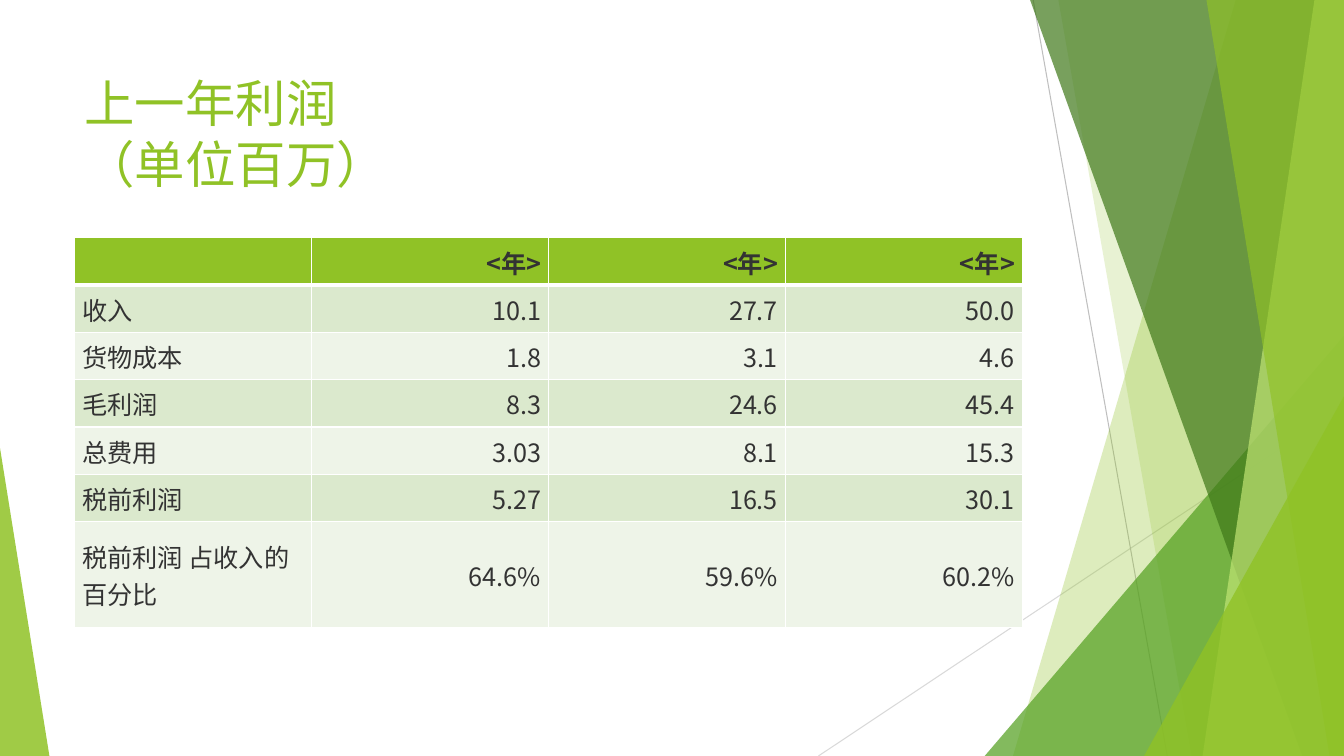
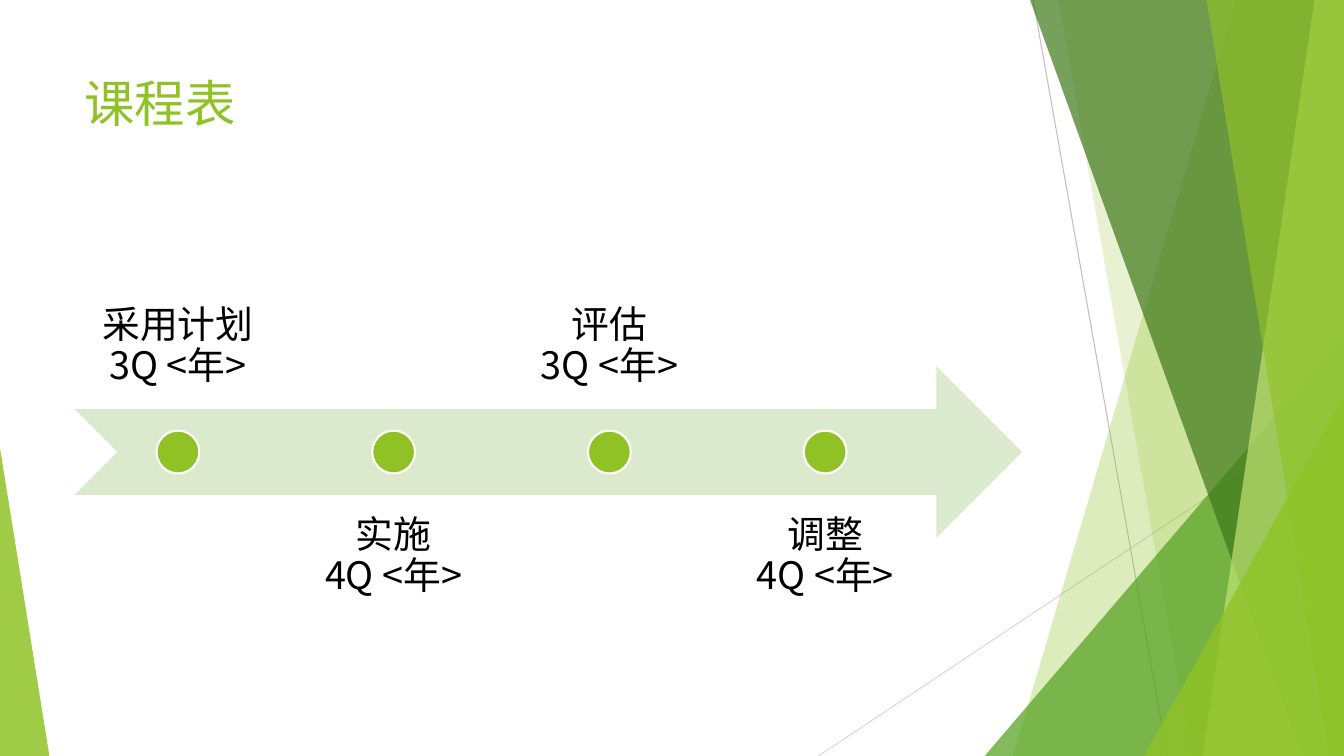
from lxml import etree
from pptx import Presentation
from pptx.dml.color import RGBColor
from pptx.enum.shapes import MSO_CONNECTOR, MSO_SHAPE as SHAPE
from pptx.enum.text import MSO_ANCHOR as ANCHOR, PP_ALIGN as ALIGN
from pptx.oxml.ns import qn
from pptx.util import Pt

WIDTH, HEIGHT = 960, 540
FONT = "Noto Sans CJK SC"

LIME = RGBColor(0x90, 0xC2, 0x26)
GREEN = RGBColor(0x54, 0xA0, 0x21)
FOREST = RGBColor(0x3F, 0x78, 0x19)
PALE_LIME = RGBColor(0xC0, 0xE4, 0x74)
BAND_DARK = RGBColor(0xDB, 0xE9, 0xCD)
BAND_LIGHT = RGBColor(0xEE, 0xF4, 0xE8)
GREY = RGBColor(0xBF, 0xBF, 0xBF)
LIGHT_GREY = RGBColor(0xD9, 0xD9, 0xD9)
INK = RGBColor(0x33, 0x33, 0x33)
BLACK = RGBColor(0, 0, 0)
WHITE = RGBColor(0xFF, 0xFF, 0xFF)

# Boxes are left, top, width, height
TITLE_BOX = (53.3, 48.2, 676.8, 103.7)
BODY_BOX = (53.3, 169.9, 676.8, 306)

RAYS = [
    ((584.6, HEIGHT), (WIDTH, 290.2), LIGHT_GREY),
    ((738, 0), (833.8, HEIGHT), GREY),
]
# Upper point, lower point, side edge that closes the wedge, colour, opacity
WEDGES = [
    ((882.7, 0), (723.6, HEIGHT), WIDTH, LIME, 30),
    ((756, 0), (851, HEIGHT), WIDTH, LIME, 20),
    ((WIDTH, 239.8), (703.4, HEIGHT), WIDTH, GREEN, 72),
    ((735.8, 0), (930.2, HEIGHT), WIDTH, FOREST, 70),
    ((938.9, 0), (859, HEIGHT), WIDTH, PALE_LIME, 70),
    ((861.8, 0), (949.7, HEIGHT), WIDTH, LIME, 65),
    ((WIDTH, 283), (817.2, HEIGHT), WIDTH, LIME, 80),
    ((0, 320), (35.3, HEIGHT), 0, LIME, 85),
]

PROFIT_ROWS = [
    ("", "<年>", "<年>", "<年>"),
    ("收入", "10.1", "27.7", "50.0"),
    ("货物成本", "1.8", "3.1", "4.6"),
    ("毛利润", "8.3", "24.6", "45.4"),
    ("总费用", "3.03", "8.1", "15.3"),
    ("税前利润", "5.27", "16.5", "30.1"),
    ("税前利润 占收入的百分比", "64.6%", "59.6%", "60.2%"),
]
MILESTONES = [
    ("采用计划", "3Q <年>"),
    ("实施", "4Q <年>"),
    ("评估", "3Q <年>"),
    ("调整", "4Q <年>"),
]


def set_attrs(obj, **values):
    """Set each named attribute on an object."""
    for name, value in values.items():
        setattr(obj, name, value)


def write(tf, lines, size, color, bold=False, **para):
    """Write lines, split by line breaks, as one formatted paragraph."""
    p = tf.paragraphs[0]
    set_attrs(p, **para)
    for i, line in enumerate(lines):
        if i:
            p.add_line_break()
        r = p.add_run()
        r.text = line
        set_attrs(r.font, size=Pt(size), name=FONT, bold=bold)
        r.font.color.rgb = color
        etree.SubElement(r.font._element, qn("a:ea"), typeface=FONT)


def paint(sp, color, alpha=100, line=None):
    """Give a shape a flat fill, an opacity and an optional white outline."""
    sp.shadow.inherit = False
    sp.fill.solid()
    sp.fill.fore_color.rgb = color
    if alpha < 100:
        clr = sp.fill._xPr.find(qn("a:solidFill"))[0]
        etree.SubElement(clr, qn("a:alpha"), val=str(alpha * 1000))
    if line:
        sp.line.color.rgb = WHITE
        sp.line.width = Pt(line)
    else:
        sp.line.fill.background()


def add_text(s, box, lines, size, color, frame, **para):
    """Add a wrapping text box with the given frame settings."""
    tf = s.shapes.add_textbox(*map(Pt, box)).text_frame
    set_attrs(tf, word_wrap=True, **frame)
    write(tf, lines, size, color, **para)


def add_backdrop(s):
    """Draw the thin rays and translucent wedges along the slide edges."""
    for start, end, color in RAYS:
        ray = s.shapes.add_connector(MSO_CONNECTOR.STRAIGHT, *map(Pt, start + end))
        ray.line.color.rgb = color
        ray.line.width = Pt(0.75)
        etree.SubElement(ray._element.spPr, qn("a:effectLst"))
    for upper, lower, side, color, alpha in WEDGES:
        corners = [lower, (side, HEIGHT), (side, upper[1])]
        fb = s.shapes.build_freeform(*map(Pt, upper))
        fb.add_line_segments([(Pt(x), Pt(y)) for x, y in corners], close=True)
        paint(fb.convert_to_shape(), color, alpha)


def add_page(prs, *title):
    """Add a slide with the shared backdrop and title."""
    s = prs.slides.add_slide(prs.slide_layouts[6])
    add_backdrop(s)
    add_text(s, TITLE_BOX, title, 36, LIME,
             dict(vertical_anchor=ANCHOR.TOP), line_spacing=1.0)
    return s


def add_borders(cell, bottom):
    """Give a cell white borders, with its own bottom width."""
    tc_pr = cell._tc.get_or_add_tcPr()
    for i, (side, width) in enumerate(zip("LRTB", (1, 1, 1, bottom))):
        ln = etree.Element(qn("a:ln" + side), w=str(Pt(width)))
        fill = etree.SubElement(ln, qn("a:solidFill"))
        etree.SubElement(fill, qn("a:srgbClr"), val=str(WHITE))
        tc_pr.insert(i, ln)


def add_profit_table(s, box):
    """Fill the box width with the banded profit table."""
    x, y, w, _ = box
    n_rows, n_cols = len(PROFIT_ROWS), len(PROFIT_ROWS[0])
    heights = [33.8] * (n_rows - 1) + [75.6]
    table = s.shapes.add_table(
        n_rows, n_cols, Pt(x), Pt(y), Pt(w), Pt(sum(heights))).table
    for col in table.columns:
        col.width = Pt(w / n_cols)
    for i, values in enumerate(PROFIT_ROWS):
        table.rows[i].height = Pt(heights[i])
        header = i == 0
        band = LIME if header else BAND_DARK if i % 2 else BAND_LIGHT
        for j, value in enumerate(values):
            cell = table.cell(i, j)
            set_attrs(cell, vertical_anchor=ANCHOR.MIDDLE, margin_left=Pt(5.4),
                      margin_right=Pt(5.2), margin_top=Pt(0.7), margin_bottom=0)
            cell.fill.solid()
            cell.fill.fore_color.rgb = band
            add_borders(cell, bottom=3 if header else 1)
            write(cell.text_frame, [value], 18, INK, bold=header,
                  alignment=ALIGN.RIGHT if j else ALIGN.LEFT)


def add_timeline(s, box):
    """Draw an arrow with milestones labelled above and below in turn."""
    x, y, w, h = box
    arrow = s.shapes.add_shape(
        SHAPE.NOTCHED_RIGHT_ARROW, *map(Pt, (x, y + 0.3 * h, w, 0.4 * h)))
    paint(arrow, BAND_DARK)
    n = len(MILESTONES)
    label_w = 0.9 * w / (n + 0.05 * (n - 1))
    dot = 0.1 * h
    insets = {f"margin_{side}": Pt(15.1) for side in ("left", "right", "top", "bottom")}
    for i, lines in enumerate(MILESTONES):
        left = x + 0.4 + i * 1.05 * label_w
        below = i % 2
        frame = dict(insets, vertical_anchor=ANCHOR.TOP if below else ANCHOR.BOTTOM)
        add_text(s, (left, y + below * 0.6 * h, label_w, 0.4 * h), lines, 27, BLACK,
                 frame, alignment=ALIGN.CENTER, line_spacing=0.9)
        marker = s.shapes.add_shape(SHAPE.OVAL, *map(
            Pt, (left + (label_w - dot) / 2, y + (h - dot) / 2, dot, dot)))
        paint(marker, LIME, line=1.5)


prs = Presentation()
set_attrs(prs, slide_width=Pt(WIDTH), slide_height=Pt(HEIGHT))
add_profit_table(add_page(prs, "上一年利润", "（单位百万）"), BODY_BOX)
add_timeline(add_page(prs, "课程表"), BODY_BOX)
prs.save("out.pptx")
